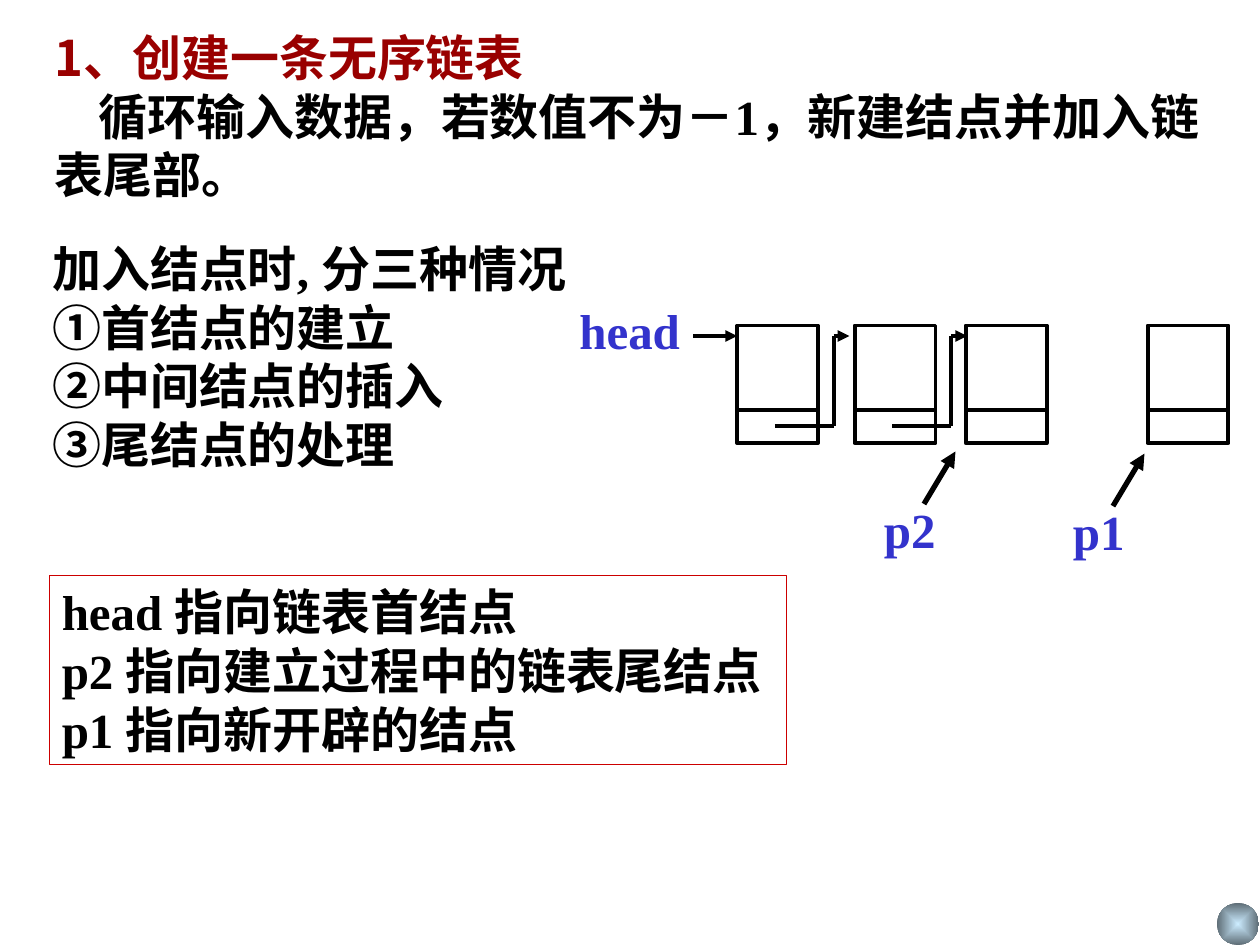
from lxml import etree
from pptx import Presentation
from pptx.dml.color import RGBColor
from pptx.enum import shapes, text
from pptx.oxml import ns
from pptx.util import Emu, Inches, Pt

COLOURS = {
    "heading": "990000", "ink": "000000", "label": "3333CC",
    "frame": "CC0000", "ball_core": "CCECFF", "ball_rim": "5E6D76",
}
SERIF, HAN = "Times New Roman", "Noto Sans CJK SC"
COLUMNS, ROWS = 120, 90
WIDTH, HEIGHT = Inches(10), Inches(7.5)
LABEL_HEIGHT = 6.84


def colour(name):
    return RGBColor.from_string(COLOURS[name])


def across(columns):
    return Emu(round(WIDTH * columns / COLUMNS))


def down(rows):
    return Emu(round(HEIGHT * rows / ROWS))


def place(box):
    left, top, width, height = box
    return across(left), down(top), across(width), down(height)


def add_xml(parent, tag, **attributes):
    element = etree.SubElement(parent, ns.qn(tag))
    for name, value in attributes.items():
        element.set(name, value)
    return element


def format_text(frame, tint="ink", latin=SERIF):
    for para in frame.paragraphs:
        para.alignment = text.PP_ALIGN.LEFT
        for span in para.runs:
            span.font.size, span.font.bold = Pt(28), True
            span.font.color.rgb = colour(tint)
            span.font.name = latin
            add_xml(span.font._element, "a:ea", typeface=HAN)


def add_text(target, box, words, tint="ink", wrap=True):
    holder = target.add_textbox(*place(box))
    holder.text_frame.word_wrap = wrap
    holder.text_frame.text = words
    format_text(holder.text_frame, tint)
    return holder


def add_line(target, start, end, weight=2.25, arrow=False):
    line = target.add_connector(
        shapes.MSO_CONNECTOR.STRAIGHT,
        across(start[0]), down(start[1]), across(end[0]), down(end[1]))
    line.line.color.rgb = colour("ink")
    line.line.width = Pt(weight)
    if arrow:
        add_xml(line.line._get_or_add_ln(), "a:tailEnd", type="triangle")
    add_xml(line._element.spPr, "a:effectLst")


def add_heading(page, box):
    title = page.shapes.title
    title.left, title.top, title.width, title.height = place(box)
    frame = title.text_frame
    frame.text = "1、创建一条无序链表"
    frame.auto_size = text.MSO_AUTO_SIZE.NONE
    frame.vertical_anchor = text.MSO_ANCHOR.TOP
    format_text(frame, "heading", HAN)


def add_summary(page, box):
    holder = add_text(page.shapes, box, "循环输入数据，若数值不为－1，新建结点并加入链表尾部。")
    properties = holder.text_frame.paragraphs[0]._p.get_or_add_pPr()
    properties.set("indent", str(across(4.2)))


def add_cases(page, box):
    add_text(page.shapes, box, "\n".join([
        "加入结点时, 分三种情况", "①首结点的建立", "②中间结点的插入", "③尾结点的处理"]))


def add_pointer_notes(page, box):
    holder = add_text(page.shapes, box, "\n".join([
        "head 指向链表首结点", "p2 指向建立过程中的链表尾结点", "p1 指向新开辟的结点"]), wrap=False)
    holder.line.color.rgb = colour("frame")
    holder.line.width = Pt(0.75)


def add_node(target, box):
    left, top, width, height = box
    node = target.add_shape(shapes.MSO_SHAPE.RECTANGLE, *place(box))
    node.shadow.inherit = False
    node.fill.background()
    node.line.color.rgb = colour("ink")
    node.line.width = Pt(2.25)
    divider = top + 0.72 * height
    add_line(target, (left, divider), (left + width, divider))


def add_link(target, left, top):
    bend, bottom = left + 5.6, top + 8.6
    add_line(target, (left, bottom), (bend, bottom))
    add_line(target, (bend, bottom), (bend, top))
    add_line(target, (bend, top), (bend + 1.5, top), arrow=True)


def add_pointer(target, left, top, name):
    add_text(target, (left, top, 7.3, LABEL_HEIGHT), name, "label", wrap=False)
    add_line(target, (left + 5, top + 1), (left + 8, top - 4), 3, arrow=True)


def add_linked_list(page, box):
    left, top, width, height = box
    target = page.shapes.add_group_shape().shapes
    for offset in (16.2, 27.4, 38, 55.3):
        add_node(target, (left + offset, top + 3, 7.7, 11.2))
    for index in range(2):
        add_link(target, left + 19.8 + 11.2 * index, top + 4)
    add_line(target, (left + 12, top + 4), (left + 16.2, top + 4), arrow=True)
    add_text(target, (left, top, 12, LABEL_HEIGHT), "head", "label", wrap=False)
    labels = top + height - LABEL_HEIGHT
    add_pointer(target, left + 29, labels, "p2")
    add_pointer(target, left + 47, labels + 0.2, "p1")


def add_ball(page, box):
    ball = page.shapes.add_shape(shapes.MSO_SHAPE.OVAL, *place(box))
    ball.shadow.inherit = False
    ball.line.fill.background()
    ball.fill.gradient()
    for stop, name in zip(ball.fill.gradient_stops, ("ball_core", "ball_rim")):
        stop.color.rgb = colour(name)
    gradient = ball._element.spPr.find(ns.qn("a:gradFill"))
    gradient.remove(gradient.find(ns.qn("a:lin")))
    shading = add_xml(gradient, "a:path", path="rect")
    add_xml(shading, "a:fillToRect", l="50000", t="50000", r="50000", b="50000")


def main():
    deck = Presentation()
    deck.slide_width, deck.slide_height = WIDTH, HEIGHT
    page = deck.slides.add_slide(deck.slide_layouts[5])
    add_ball(page, (115.9, 86, 4, 4))
    add_heading(page, (4, 2, 113.6, LABEL_HEIGHT))
    add_summary(page, (4, 7.6, 113.6, 12.4))
    add_pointer_notes(page, (4.7, 54.8, 70.2, 18))
    add_linked_list(page, (54, 28, 63, 25.84))
    add_cases(page, (3.8, 22.1, 56.2, 23.6))
    deck.save("out.pptx")


if __name__ == "__main__":
    main()
